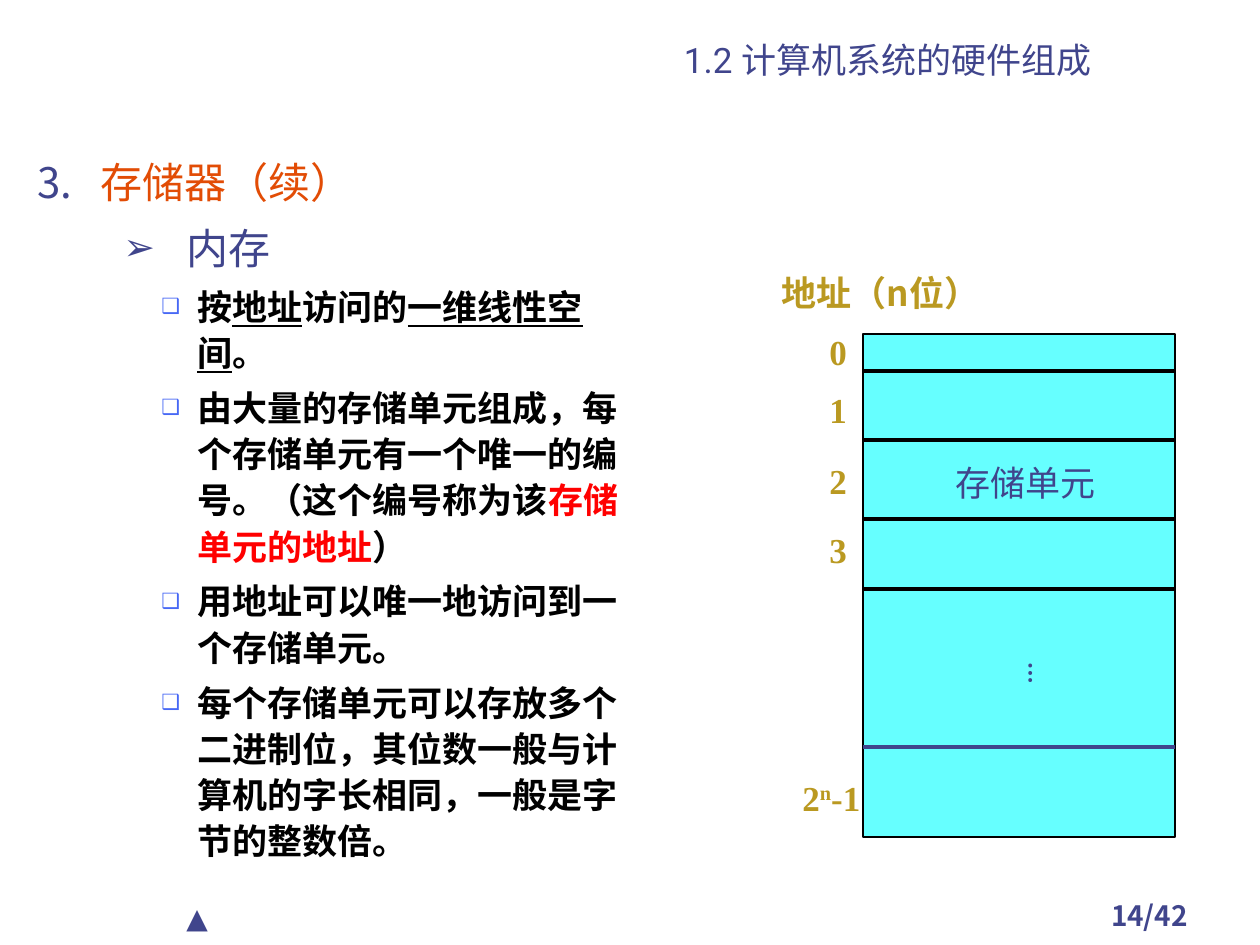
from lxml import etree
from pptx import Presentation
from pptx import util as u
from pptx.dml import color
from pptx.enum import shapes, text
from pptx.oxml import ns

SCALE = 914400 / 126
INDIGO, GOLD, BLACK, RED = "40458C", "BA9921", "000000", "FF0000"
ORANGE, BLUE, CYAN = "E24C05", "4768F5", "66FFFF"
SANS, CJK, SERIF = "Roboto", "Noto Sans CJK SC", "Times New Roman"


def px(length):
    return u.Emu(round(length * SCALE))


def rgb(value):
    return color.RGBColor.from_string(value)


def child(parent, tag, **attributes):
    return etree.SubElement(parent, ns.qn(tag), attributes)


def style(font, size, name, ink, bold=False):
    font.size, font.name, font.bold = u.Pt(size), name, bold
    font.color.rgb = rgb(ink)


def add_box(page, left, top, width, height):
    box = page.shapes.add_textbox(px(left), px(top), px(width), px(height))
    box.text_frame.word_wrap = True
    return box


def add_label(page, area, words, name=SANS, ink=INDIGO, bold=False, size=20):
    """Place one line of text and return its box."""
    box = add_box(page, *area)
    para = box.text_frame.paragraphs[0]
    para.text = words
    style(para.font, size, name, ink, bold)
    return box


def add_bullet(para, margin, hanging, mark, ink, percent):
    """Give a paragraph its hanging bullet; a whole number starts numbering there."""
    props = para._p.get_or_add_pPr()
    props.set("marL", str(px(margin)))
    props.set("indent", str(px(-hanging)))
    props.set("hangingPunct", "0")
    child(child(props, "a:buClr"), "a:srgbClr", val=ink)
    child(props, "a:buSzPct", val=str(percent * 1000))
    if isinstance(mark, int):
        child(props, "a:buFont", typeface=SANS)
        child(props, "a:buAutoNum", type="arabicPeriod", startAt=str(mark))
    else:
        child(props, "a:buChar", char=mark)


def add_outline(page, left, top, width, height):
    levels = {
        "section": ((63, 63, 3, INDIGO, 100), (24, SANS, ORANGE), 6),
        "topic": ((149, 63, "➢", INDIGO, 90), (24, SANS, INDIGO), 6),
        "point": ((160, 36, "❑", BLUE, 60), (20, SANS, BLACK, True), 5),
    }
    # Each span is its words and, where it differs, "u" for underline or a colour.
    entries = [
        ("section", [("存储器（续）", None)]),
        ("topic", [("内存", None)]),
        ("point", [("按", None), ("地址", "u"), ("访问的", None),
                   ("一维线性空间", "u"), ("。", None)]),
        ("point", [("由大量的存储单元组成，每个存储单元有一个唯一的编号。（这个编号称为该", None),
                   ("存储单元的地址", RED), ("）", None)]),
        ("point", [("用地址可以唯一地访问到一个存储单元。", None)]),
        ("point", [("每个存储单元可以存放多个二进制位，其位数一般与计算机的字长相同，"
                    "一般是字节的整数倍。", None)]),
    ]
    frame = add_box(page, left, top, width, height).text_frame
    for index, (level, spans) in enumerate(entries):
        para = frame.add_paragraph() if index else frame.paragraphs[0]
        bullet, font, before = levels[level]
        para.line_spacing, para.space_before = 1.1, u.Pt(before)
        add_bullet(para, *bullet)
        style(para.font, *font)
        for words, mark in spans:
            span = para.add_run()
            span.text = words
            if mark == "u":
                span.font.underline = True
            elif mark:
                span.font.color.rgb = rgb(mark)


def add_memory(page, left, top, width, height):
    """Draw the memory column with its cell borders, contents and addresses."""
    column = page.shapes.add_shape(
        shapes.MSO_SHAPE.RECTANGLE, px(left), px(top), px(width), px(height))
    column.shadow.inherit = False
    column.fill.solid()
    column.fill.fore_color.rgb = rgb(CYAN)
    column.line.color.rgb, column.line.width = rgb(BLACK), 0

    for offset, ink in [(37, BLACK), (106, BLACK), (185, BLACK), (255, BLACK), (413, INDIGO)]:
        border = page.shapes.add_connector(
            shapes.MSO_CONNECTOR.STRAIGHT, px(left), px(top + offset),
            px(left + width), px(top + offset))
        border.line.color.rgb, border.line.width = rgb(ink), 0
        child(border._element.spPr, "a:effectLst")

    add_label(page, (left + 80, top + 121, 205, 55), "存储单元")
    dots = add_label(page, (left + 140, top + 315, 67, 118), "…").text_frame
    dots._txBody.bodyPr.set("vert", "eaVert")
    dots.margin_left = dots.margin_right = u.Inches(0.05)
    dots.margin_top = dots.margin_bottom = u.Inches(0.1)
    dots.paragraphs[0].alignment = text.PP_ALIGN.CENTER

    add_label(page, (left - 94, top - 69, 267, 55), "地址（n位）", CJK, GOLD, True)
    for address, offset in enumerate((-10, 48, 119, 188)):
        add_label(page, (left - 46, top + offset, 72, 55), str(address), SERIF, GOLD, True)
    last = add_label(page, (left - 73, top + 436, 118, 55), "2", SERIF, GOLD, True)
    para = last.text_frame.paragraphs[0]
    for words, raised in [("n", "30000"), ("-1", "0")]:
        span = para.add_run()
        span.text = words
        span.font._element.set("baseline", raised)


def add_title(page, area):
    frame = add_label(page, area, "1.2 计算机系统的硬件组成").text_frame
    frame.vertical_anchor = text.MSO_ANCHOR.BOTTOM
    frame.paragraphs[0].alignment = text.PP_ALIGN.CENTER


def add_footer(page, left, top, width):
    add_label(page, (left, top + 2, 179, 47), "▲", size=16)
    number = add_label(page, (left + width - 179, top, 179, 42), "14/42", CJK, INDIGO, True, 16)
    number.text_frame.paragraphs[0].alignment = text.PP_ALIGN.CENTER


def main():
    deck = Presentation()
    deck.slide_width, deck.slide_height = px(1260), px(945)
    page = deck.slides.add_slide(deck.slide_layouts[6])
    add_footer(page, 174, 892, 1065)
    add_title(page, (536, 34, 704, 53))
    add_outline(page, 25, 145, 615, 683)
    add_memory(page, 863, 334, 312, 503)
    deck.save("out.pptx")


if __name__ == "__main__":
    main()
